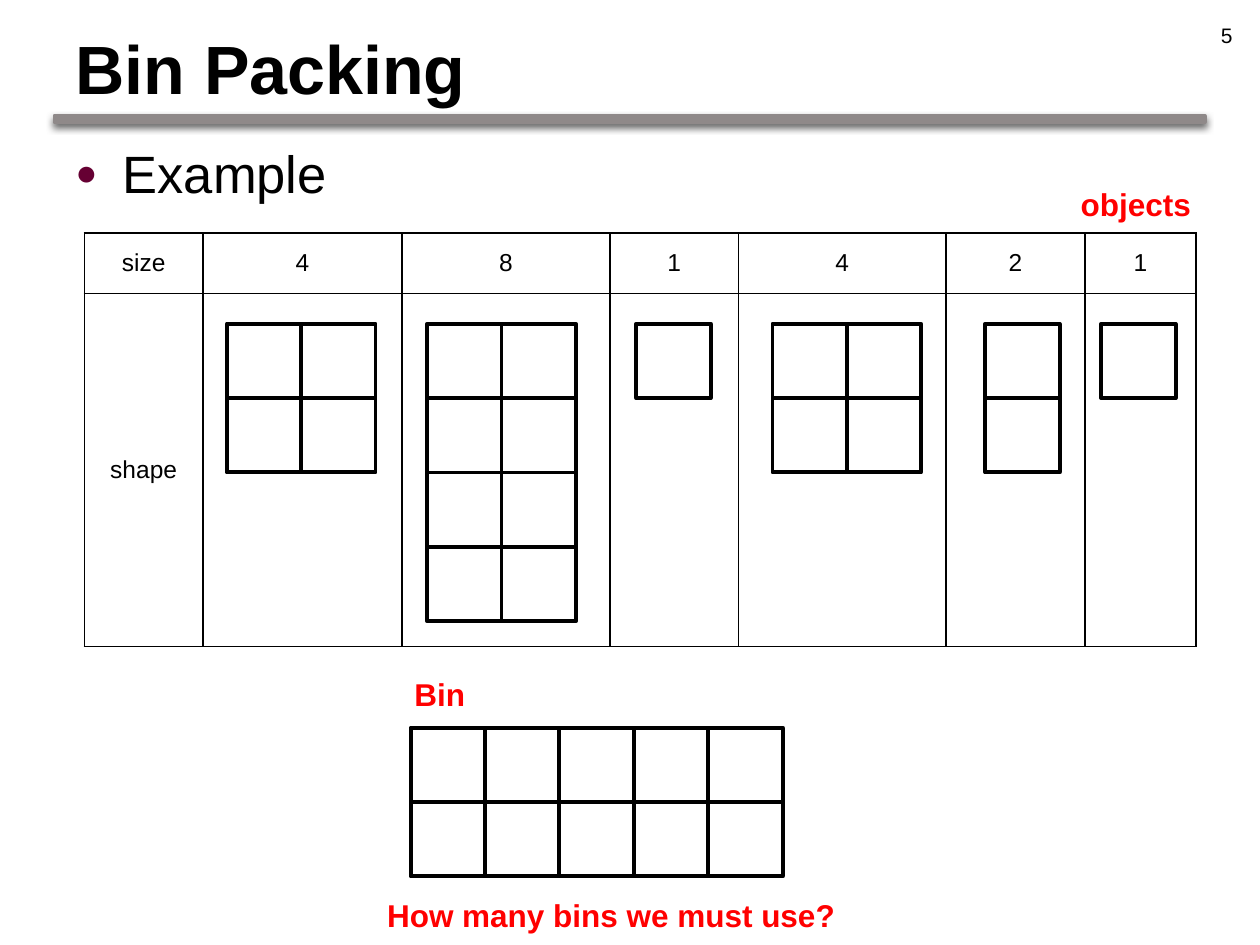
from lxml import etree
from pptx import Presentation
from pptx import util as u
from pptx.dml import color
from pptx.enum import shapes, text
from pptx.oxml import ns

BLACK, WHITE, RED, GREY, PURPLE = "000000", "FFFFFF", "FF0000", "8F8989", "660033"
UNIT = 42.5
TABLE_LEFT, TABLE_TOP = 48.25, 133.2
COLUMNS = [67.7, 113.8, 118.8, 73.4, 118.8, 79.2, 63.4]
ROWS = [34.6, 201.6]
SIZES = ["size", "4", "8", "1", "4", "2", "1"]
OBJECTS = [(129.6, 2, 2), (244.1, 2, 4), (363.6, 1, 1), (441.4, 2, 2), (563, 1, 2), (629.3, 1, 1)]
ALIGN = {"l": text.PP_ALIGN.LEFT, "c": text.PP_ALIGN.CENTER, "r": text.PP_ALIGN.RIGHT}


def rgb(value):
    return color.RGBColor.from_string(value)


def add_xml(parent, tag, position=None, **attributes):
    element = etree.Element(ns.qn(tag), {key: str(value) for key, value in attributes.items()})
    parent.insert(len(parent) if position is None else position, element)
    return element


def write(frame, words, size=18, ink=BLACK, bold=False, align="l", anchor=text.MSO_ANCHOR.TOP):
    frame.word_wrap = True
    frame.vertical_anchor = anchor
    paragraph = frame.paragraphs[0]
    paragraph.alignment = ALIGN[align]
    run = paragraph.add_run()
    run.text = words
    run.font.name = "Arial"
    run.font.size = u.Pt(size)
    run.font.bold = bold
    run.font.color.rgb = rgb(ink)
    return paragraph


class SlideBuilder:
    """Draws styled elements on one slide, with all lengths in points."""

    def __init__(self, slide, ink=BLACK, weight=2.25):
        self.slide = slide
        self.ink = ink
        self.weight = weight

    def label(self, words, left, top, width, height, **style):
        shape = self.slide.shapes.add_textbox(u.Pt(left), u.Pt(top), u.Pt(width), u.Pt(height))
        return write(shape.text_frame, words, **style)

    def bullet(self, words, left, top, width, height, size):
        paragraph = self.label(words, left, top, width, height, size=size)
        paragraph.space_before = u.Pt(size * 0.2)
        properties = paragraph._p.get_or_add_pPr()
        properties.set("marL", str(u.Pt(27)))
        properties.set("indent", str(-u.Pt(27)))
        add_xml(add_xml(properties, "a:buClr"), "a:srgbClr", val=PURPLE)
        add_xml(properties, "a:buSzPct", val=70000)
        add_xml(properties, "a:buFont", typeface="Arial")
        add_xml(properties, "a:buChar", char="●")

    def box(self, left, top, width, height, fill=None, ink=None, weight=None):
        shape = self.slide.shapes.add_shape(
            shapes.MSO_SHAPE.RECTANGLE, u.Pt(left), u.Pt(top), u.Pt(width), u.Pt(height))
        shape.shadow.inherit = False
        if fill:
            shape.fill.solid()
            shape.fill.fore_color.rgb = rgb(fill)
        else:
            shape.fill.background()
        shape.line.color.rgb = rgb(ink or self.ink)
        shape.line.width = u.Pt(weight or self.weight)
        add_xml(shape.line._get_or_add_ln(), "a:round")
        return shape

    def line(self, x1, y1, x2, y2, weight=None):
        connector = self.slide.shapes.add_connector(
            shapes.MSO_CONNECTOR.STRAIGHT, u.Pt(x1), u.Pt(y1), u.Pt(x2), u.Pt(y2))
        connector.line.color.rgb = rgb(self.ink)
        connector.line.width = u.Pt(weight or self.weight)
        add_xml(connector._element.spPr, "a:effectLst")

    def title_rule(self, left, top, width, height):
        self.line(left, top, left + width, top, weight=0.75)
        bar = self.box(left, top + 0.7, width, height, fill=GREY, ink=GREY, weight=2)
        effects = bar._element.spPr.find(ns.qn("a:effectLst"))
        shadow = add_xml(effects, "a:outerShdw", blurRad=u.Pt(4), dist=u.Pt(2),
                         dir=5400000, rotWithShape=0)
        add_xml(shadow, "a:srgbClr", val="606060")

    def grid(self, left, top, columns, rows):
        width, height = columns * UNIT, rows * UNIT
        self.box(left, top, width, height)
        for column in range(1, columns):
            x = left + column * UNIT
            self.line(x, top, x, top + height)
        for row in range(1, rows):
            y = top + row * UNIT
            self.line(left, y, left + width, y)

    def cell(self, cell, words):
        cell.fill.solid()
        cell.fill.fore_color.rgb = rgb(WHITE)
        cell.vertical_anchor = text.MSO_ANCHOR.MIDDLE
        if words:
            write(cell.text_frame, words, size=14, align="c", anchor=text.MSO_ANCHOR.MIDDLE)
        properties = cell._tc.get_or_add_tcPr()
        for position, side in enumerate("LRTB"):
            border = add_xml(properties, f"a:ln{side}", position, w=u.Pt(1))
            add_xml(add_xml(border, "a:solidFill"), "a:srgbClr", val=self.ink)

    def table(self, left, top, columns, rows, contents):
        table = self.slide.shapes.add_table(
            len(rows), len(columns), u.Pt(left), u.Pt(top),
            u.Pt(sum(columns)), u.Pt(sum(rows))).table
        table.first_row = table.horz_banding = False
        for column, width in zip(table.columns, columns):
            column.width = u.Pt(width)
        for row, height, words in zip(table.rows, rows, contents):
            row.height = u.Pt(height)
            for cell, word in zip(row.cells, words):
                self.cell(cell, word)


def main():
    presentation = Presentation()
    presentation.slide_width, presentation.slide_height = u.Pt(720), u.Pt(540)
    builder = SlideBuilder(presentation.slides.add_slide(presentation.slide_layouts[6]))

    builder.title_rule(31, 65.5, 657.5, 3.6)
    builder.label("Bin Packing", 36, 9.4, 648, 56.2, size=39, bold=True,
                  anchor=text.MSO_ANCHOR.BOTTOM)
    builder.label("5", 543.6, 9.4, 167.8, 20.2, size=12, align="r")
    builder.bullet("Example", 36, 77, 648, 50, size=30)

    shape_row = ["shape"] + [""] * (len(COLUMNS) - 1)
    builder.table(TABLE_LEFT, TABLE_TOP, COLUMNS, ROWS, [SIZES, shape_row])
    for left, columns, rows in OBJECTS:
        builder.grid(left, 185, columns, rows)
    builder.grid(234.7, 415.8, 5, 2)

    caption = {"size": 18, "ink": RED, "bold": True}
    builder.label("objects", 592.6, 102.2, 95, 28.8, align="r", **caption)
    builder.label("Bin", 229.7, 382.3, 113, 28.8, **caption)
    builder.label("How many bins we must use? ", 184.3, 508.3, 334.8, 28.8, align="c", **caption)

    presentation.save("out.pptx")


if __name__ == "__main__":
    main()
